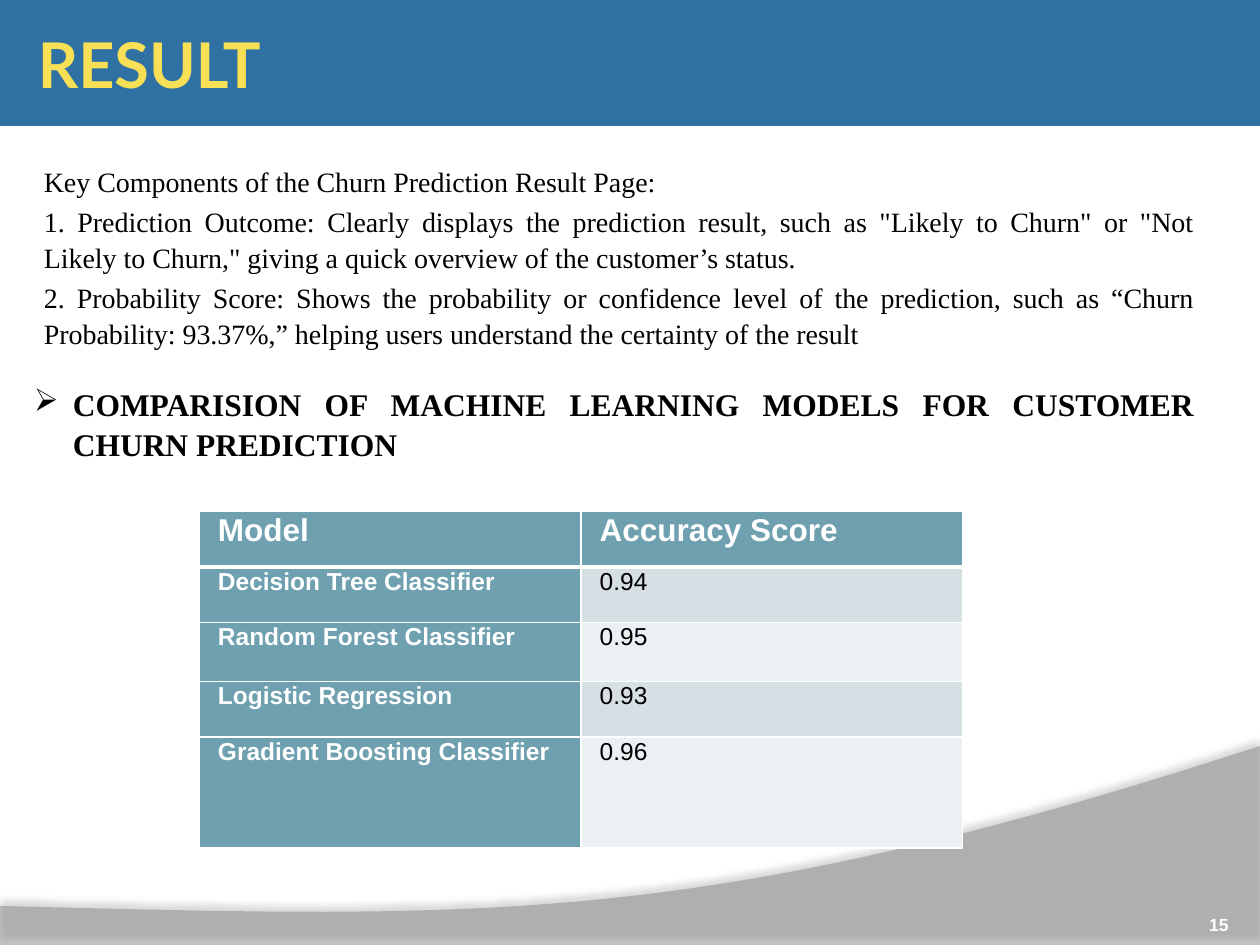
"""Build the churn prediction result slide."""
import lxml.etree
import pptx
import pptx.dml.color
import pptx.enum.shapes
import pptx.enum.text
import pptx.oxml
import pptx.oxml.ns
import pptx.util

WIDTH, HEIGHT = 10, 7.5
TITLE = "RESULT"
PAGE_NUMBER = "15"
COMPONENTS = [
    "Key Components of the Churn Prediction Result Page:",
    '1. Prediction Outcome: Clearly displays the prediction result, such as "Likely to Churn" '
    'or "Not Likely to Churn," giving a quick overview of the customer’s status.',
    "2. Probability Score: Shows the probability or confidence level of the prediction, such as "
    "“Churn Probability: 93.37%,” helping users understand the certainty of the result",
]
HEADING = "COMPARISION OF MACHINE LEARNING MODELS FOR CUSTOMER CHURN PREDICTION"
SCORES = [
    ("Model", "Accuracy Score"),
    ("Decision Tree Classifier", "0.94"),
    ("Random Forest Classifier", "0.95"),
    ("Logistic Regression", "0.93"),
    ("Gradient Boosting Classifier", "0.96"),
]
ROW_HEIGHTS = [0.44, 0.44, 0.47, 0.44, 0.88]
TEAL, BANDS = "6EA0B0", ("EBF0F2", "D5DFE4")
WAVE_CURVE = [(10, 5.92), (5.59, 7.36), (3.91, 7.29), (0, 7.19)]
WAVE_STEPS = 40

ALIGN = pptx.enum.text.PP_ALIGN
ANCHOR = pptx.enum.text.MSO_ANCHOR
inches = pptx.util.Inches
points = pptx.util.Pt


def colour(value):
    return pptx.dml.color.RGBColor.from_string(value)


def element(xml):
    namespace = pptx.oxml.ns.nsdecls("a")
    return pptx.oxml.parse_xml(xml.replace(">", f" {namespace}>", 1))


def fill_shape(shape, value):
    shape.shadow.inherit = False
    shape.fill.solid()
    shape.fill.fore_color.rgb = colour(value)
    shape.line.fill.background()


def style(paragraph, size, font, value, bold=False, align=ALIGN.JUSTIFY, before=0, spacing=1.0):
    paragraph.alignment = align
    paragraph.space_before = points(before)
    paragraph.line_spacing = spacing
    paragraph.font.size = points(size)
    paragraph.font.name = font
    paragraph.font.bold = bold
    paragraph.font.color.rgb = colour(value)


def indent(paragraph, left, first=0):
    properties = paragraph._p.get_or_add_pPr()
    properties.set("marL", str(inches(left)))
    properties.set("indent", str(inches(first)))
    return properties


def add_text(slide, box, texts, anchor=ANCHOR.TOP, margins=(0.1, 0.05)):
    frame = slide.shapes.add_textbox(*map(inches, box)).text_frame
    frame.word_wrap = True
    frame.vertical_anchor = anchor
    frame.margin_left = frame.margin_right = inches(margins[0])
    frame.margin_top = frame.margin_bottom = inches(margins[1])
    frame.text = "\n".join(texts)
    return frame.paragraphs


def curve_point(share):
    weights = [(1 - share) ** 3, 3 * share * (1 - share) ** 2, 3 * share ** 2 * (1 - share), share ** 3]
    return tuple(inches(sum(weight * point[axis] for weight, point in zip(weights, WAVE_CURVE)))
                 for axis in (0, 1))


def add_wave(slide):
    curve = [curve_point(step / WAVE_STEPS) for step in range(WAVE_STEPS + 1)]
    corners = [(0, inches(HEIGHT)), (inches(WIDTH), inches(HEIGHT))]
    builder = slide.shapes.build_freeform(*curve[0])
    builder.add_line_segments(curve[1:] + corners, close=True)
    wave = builder.convert_to_shape()
    fill_shape(wave, "7F7F7F")
    properties = wave._element.spPr
    properties.find(".//" + pptx.oxml.ns.qn("a:srgbClr")).append(element('<a:alpha val="45000"></a:alpha>'))
    properties.find(pptx.oxml.ns.qn("a:effectLst")).append(element(
        f'<a:outerShdw blurRad="{points(4)}" dist="{points(3.5)}" dir="16200000" rotWithShape="0">'
        '<a:srgbClr val="000000"><a:alpha val="35000"/></a:srgbClr></a:outerShdw>'))


def add_border(cell, side, width):
    cell._tc.get_or_add_tcPr().append(element(
        f'<a:{side} w="{points(width)}"><a:solidFill><a:srgbClr val="FFFFFF"/></a:solidFill></a:{side}>'))


def add_scores(slide):
    frame = slide.shapes.add_table(len(SCORES), 2, *map(inches, (1.58, 4.06, 6.06, sum(ROW_HEIGHTS))))
    for row, (texts, height) in enumerate(zip(SCORES, ROW_HEIGHTS)):
        frame.table.rows[row].height = inches(height)
        for column, text in enumerate(texts):
            cell = frame.table.cell(row, column)
            header = row == 0 or column == 0
            cell.text = text
            cell.margin_left = cell.margin_right = inches(0.07)
            cell.margin_top = cell.margin_bottom = 0
            paragraph = cell.text_frame.paragraphs[0]
            style(paragraph, 14 if row else 18, "Arial", "FFFFFF" if header else "000000",
                  header, before=3.5, spacing=1.03)
            indent(paragraph, 0.08)
            for side in ("lnL", "lnR", "lnT", "lnB"):
                edge = (row, side) in ((0, "lnB"), (1, "lnT"))
                add_border(cell, side, 3 if edge else 1)
            cell.fill.solid()
            cell.fill.fore_color.rgb = colour(TEAL if header else BANDS[row % 2])


def main():
    presentation = pptx.Presentation()
    presentation.slide_width, presentation.slide_height = inches(WIDTH), inches(HEIGHT)
    slide = presentation.slides.add_slide(presentation.slide_layouts[6])

    add_wave(slide)
    banner = slide.shapes.add_shape(pptx.enum.shapes.MSO_SHAPE.RECTANGLE, 0, 0, inches(WIDTH), inches(1))
    fill_shape(banner, "2F71A2")

    title = add_text(slide, (0.25, 0.17, 8.33, 0.67), [TITLE], ANCHOR.MIDDLE, (0.05, 0.05))[0]
    style(title, 36, "Lato", "F7DF56", True, ALIGN.LEFT)

    for number, paragraph in enumerate(add_text(slide, (0.25, 1.12, 9.33, 6.04), COMPONENTS)):
        style(paragraph, 16, "Times New Roman", "000000", before=3.2, spacing=1.05 if number else 1.5)

    page = add_text(slide, (8.92, 7.02, 0.83, 0.4), [PAGE_NUMBER], ANCHOR.BOTTOM, (0, 0))[0]
    style(page, 10, "Arial", "FFFFFF", True, ALIGN.RIGHT)

    heading = add_text(slide, (0.08, 2.99, 9.5, 1.21), [HEADING])[0]
    style(heading, 18, "Times New Roman", "000000", True, before=0.2, spacing=1.05)
    properties = indent(heading, 0.4, -0.31)
    bullet = element('<a:buChar char="➢"></a:buChar>')
    properties.find(pptx.oxml.ns.qn("a:defRPr")).addprevious(bullet)

    add_scores(slide)
    presentation.save("out.pptx")


if __name__ == "__main__":
    main()
